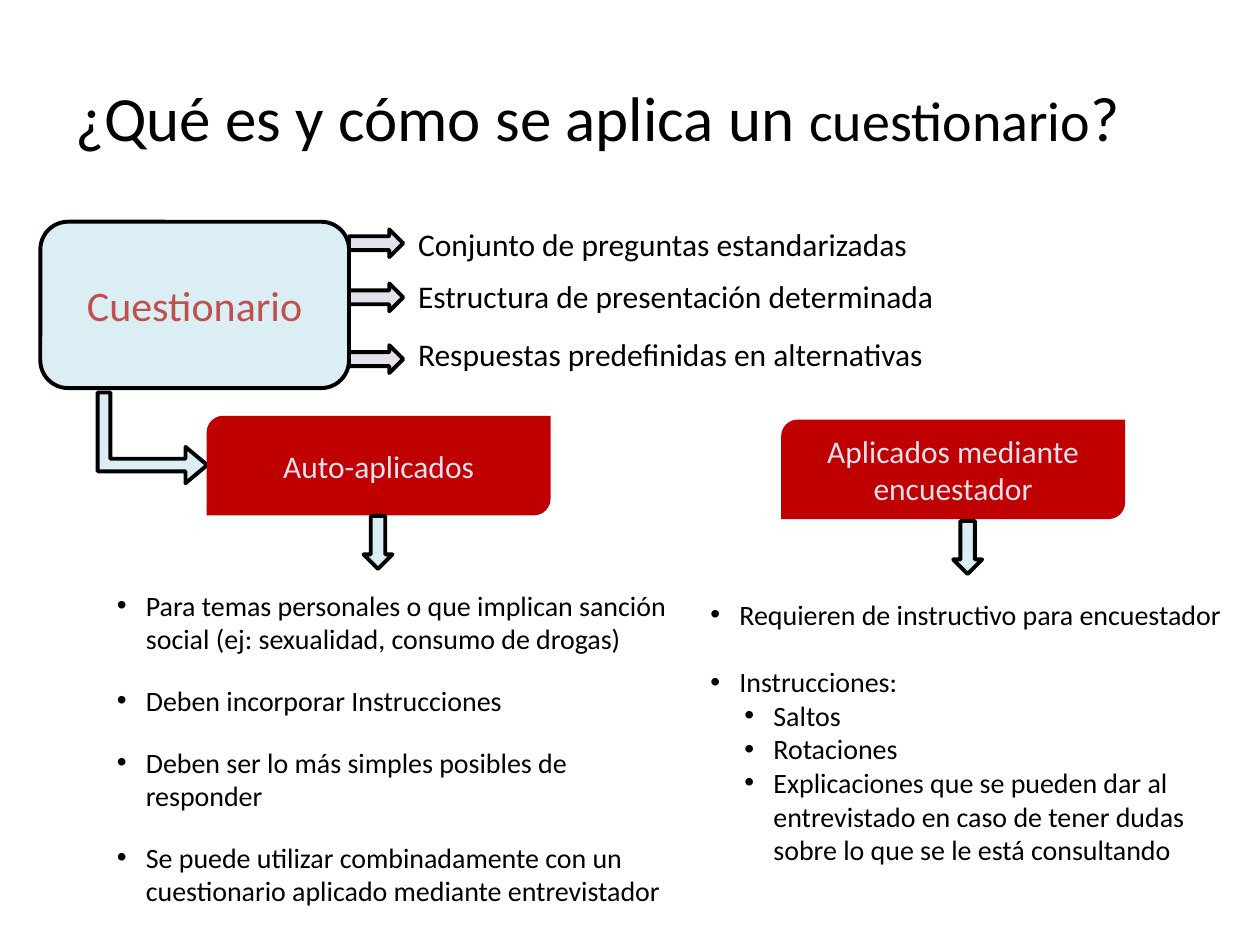
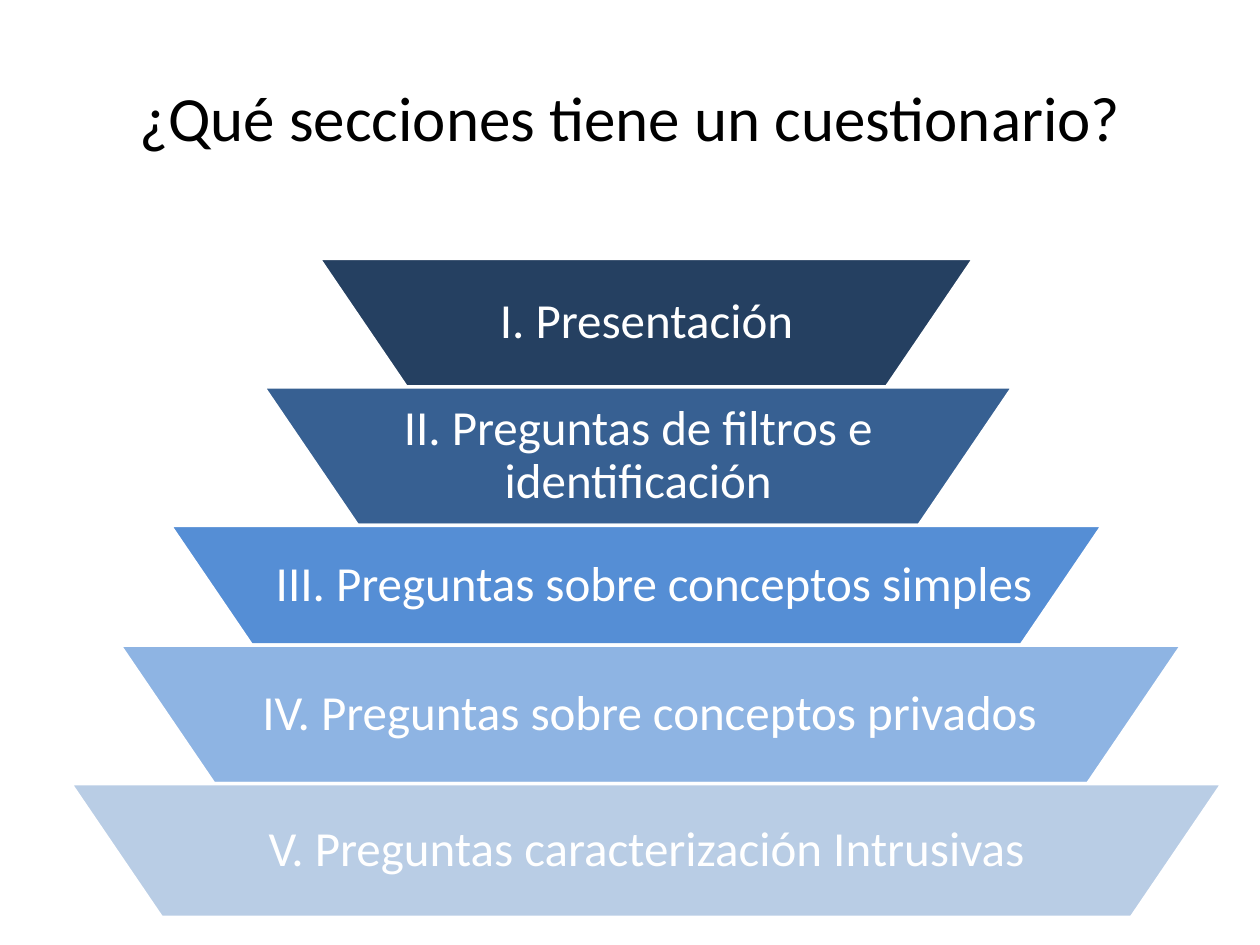
from dataclasses import dataclass

from lxml import etree
from pptx import Presentation
from pptx.dml.color import RGBColor
from pptx.enum.shapes import MSO_SHAPE
from pptx.enum.text import MSO_ANCHOR, PP_ALIGN
from pptx.oxml.ns import qn
from pptx.util import Inches, Pt

ROUNDED = MSO_SHAPE.ROUNDED_RECTANGLE
DIAGONAL = MSO_SHAPE.ROUND_2_DIAG_RECTANGLE
ARROW = MSO_SHAPE.RIGHT_ARROW
BENT_ARROW = MSO_SHAPE.BENT_UP_ARROW
TRAPEZOID = MSO_SHAPE.TRAPEZOID
TOP, MIDDLE = MSO_ANCHOR.TOP, MSO_ANCHOR.MIDDLE
LEFT, CENTER = PP_ALIGN.LEFT, PP_ALIGN.CENTER

# The slide is a grid of 100 columns by 75 square rows
COLUMNS, ROWS = 100, 75
CELL = Inches(0.1)


@dataclass(frozen=True)
class Theme:
    font: str = "Calibri"
    ink: str = "000000"
    white: str = "FFFFFF"
    ice: str = "DBEEF4"
    lilac: str = "E6E0EC"
    coral: str = "C0504D"
    red: str = "C00000"
    funnel: tuple = ("254061", "376092", "558ED5", "8EB4E3", "B9CDE5")
    title: int = 36
    title_small: int = 32
    section: int = 28
    heading: int = 24
    body: int = 18
    detail: int = 16
    outline: float = 2.25


THEME = Theme()


def cells(*lengths):
    return [round(length * CELL) for length in lengths]


def apply(target, values):
    for name, value in values.items():
        setattr(target, name, value)


class Deck:
    """Holds the theme, the presentation and the slide being filled."""

    def __init__(self, theme):
        self.theme = theme
        self.prs = Presentation()
        self.prs.slide_width, self.prs.slide_height = cells(COLUMNS, ROWS)
        self.slide = None

    def new_slide(self, title, align=LEFT):
        self.slide = self.prs.slides.add_slide(self.prs.slide_layouts[6])
        self.text((5, 3, 90, 12.5), title, self.theme.title, align=align, anchor=MIDDLE)

    def add_runs(self, paragraph, parts, size, color):
        """Parts is a string, or a list of (string, size) runs."""
        runs = [(parts, size)] if isinstance(parts, str) else parts
        for words, run_size in runs:
            run = paragraph.add_run()
            run.text = words
            apply(run.font, {"name": self.theme.font, "size": Pt(run_size)})
            run.font.color.rgb = RGBColor.from_string(color)

    def frame(self, shape, anchor, inset=None):
        frame = shape.text_frame
        apply(frame, {"word_wrap": True, "vertical_anchor": anchor})
        if inset is not None:
            sides = ("left", "top", "right", "bottom")
            apply(frame, {f"margin_{side}": Inches(inset) for side in sides})
        return frame

    def text(self, area, parts, size, color=None, align=LEFT, anchor=TOP,
             inset=None, spacing=1.0):
        box = self.slide.shapes.add_textbox(*cells(*area))
        paragraph = self.frame(box, anchor, inset).paragraphs[0]
        apply(paragraph, {"alignment": align, "line_spacing": spacing})
        self.add_runs(paragraph, parts, size, color or self.theme.ink)

    def shape(self, kind, area, fill, line=None, width=None, turn=0, adjust=()):
        shape = self.slide.shapes.add_shape(kind, *cells(*area))
        shape.shadow.inherit = False
        shape.rotation = turn
        for index, value in enumerate(adjust):
            shape.adjustments[index] = value
        shape.fill.solid()
        shape.fill.fore_color.rgb = RGBColor.from_string(fill)
        if line:
            shape.line.color.rgb = RGBColor.from_string(line)
            shape.line.width = Pt(width or self.theme.outline)
        else:
            shape.line.fill.background()
        return shape

    def label(self, shape, words, size, color):
        paragraph = self.frame(shape, MIDDLE).paragraphs[0]
        paragraph.alignment = CENTER
        self.add_runs(paragraph, words, size, color)

    def bullets(self, area, items):
        """Items are (level, space before in points, words)."""
        box = self.slide.shapes.add_textbox(*cells(*area))
        frame = self.frame(box, TOP)
        for index, (level, gap, words) in enumerate(items):
            paragraph = frame.add_paragraph() if index else frame.paragraphs[0]
            apply(paragraph, {"level": level, "space_before": Pt(gap)})
            properties = paragraph._p.get_or_add_pPr()
            properties.set("marL", str(Inches((0.23, 0.5)[level])))
            properties.set("indent", str(-Inches(0.23)))
            font = etree.SubElement(properties, qn("a:buFont"))
            font.set("typeface", "Arial")
            etree.SubElement(properties, qn("a:buChar")).set("char", "•")
            self.add_runs(paragraph, words, self.theme.detail, self.theme.ink)


def build_definition(deck):
    theme = deck.theme
    deck.new_slide([("¿Qué es y cómo se aplica un ", theme.title),
                    ("cuestionario", theme.title_small), ("?", theme.title)])

    # Concept and its three features
    concept = deck.shape(ROUNDED, (3.2, 17.6, 24.5, 13.2), theme.ice, theme.ink)
    deck.label(concept, "Cuestionario", theme.heading, theme.coral)
    features = [
        (18.2, 17.4, "Conjunto de preguntas estandarizadas"),
        (22.5, 21.5, "Estructura de presentación determinada"),
        (27.4, 26.1, "Respuestas predefinidas en alternativas"),
    ]
    for arrow_top, text_top, feature in features:
        deck.shape(ARROW, (27.7, arrow_top, 4.3, 2.2), theme.lilac, theme.ink)
        deck.text((32.2, text_top, 65.6, 4), feature, theme.body)

    # Two ways of applying it
    deck.shape(BENT_ARROW, (8.5, 30.4, 7.2, 8.7), theme.ice, theme.ink,
               turn=90, adjust=(0.14, 0.2, 0.24))
    modes = [
        (16.4, 33, 27.9, 41.9, "Auto-aplicados"),
        (62, 33.3, 74.7, 42.3, "Aplicados mediante encuestador"),
    ]
    for left, top, arrow_left, arrow_top, mode in modes:
        banner = deck.shape(DIAGONAL, (left, top, 27.3, 7.9), theme.red)
        deck.label(banner, mode, theme.body, theme.lilac)
        deck.shape(ARROW, (arrow_left, arrow_top, 4.2, 2.3), theme.ice, theme.ink,
                   turn=90)

    # Notes under each way
    self_applied = [
        "Para temas personales o que implican sanción social "
        "(ej: sexualidad, consumo de drogas)",
        "Deben incorporar Instrucciones",
        "Deben ser lo más simples posibles de responder",
        "Se puede utilizar combinadamente con un cuestionario "
        "aplicado mediante entrevistador",
    ]
    deck.bullets((8.3, 46.2, 45.7, 27.9),
                 [(0, 16 if i else 0, words) for i, words in enumerate(self_applied)])
    deck.bullets((55.4, 46.9, 43.1, 22.6), [
        (0, 0, "Requieren de instructivo para encuestador"),
        (0, 19.5, "Instrucciones:"),
        (1, 0, "Saltos"),
        (1, 0, "Rotaciones"),
        (1, 0, "Explicaciones que se pueden dar al entrevistado en caso de "
               "tener dudas sobre lo que se le está consultando"),
    ])


def build_sections(deck):
    theme = deck.theme
    deck.new_slide("¿Qué secciones tiene un cuestionario?", CENTER)

    # Stacked tiers: left, width, height, text left, text width, words
    tiers = [
        (25.3, 52, 10.2, 34.4, 33.8, "I. Presentación"),
        (20.9, 59.5, 11, 31.3, 38.7, "II. Preguntas de filtros e identificación"),
        (13.5, 74, 9.5, 20.9, 62, "III. Preguntas sobre conceptos simples"),
        (9.5, 84.3, 11, 17.8, 67.5, "IV. Preguntas sobre conceptos privados"),
        (5.6, 91.4, 10.6, 5.6, 91.4, "V. Preguntas caracterización Intrusivas"),
    ]
    top = 20.5
    for fill, tier in zip(theme.funnel, tiers):
        left, width, height, text_left, text_width, section = tier
        deck.shape(TRAPEZOID, (left, top, width, height), fill, theme.white, 2,
                   turn=180, adjust=(0.68,))
        deck.text((text_left, top, text_width, height), section, theme.section,
                  theme.white, CENTER, MIDDLE, inset=0.03, spacing=0.9)
        top += height


def main():
    deck = Deck(THEME)
    build_definition(deck)
    build_sections(deck)
    deck.prs.save("out.pptx")


if __name__ == "__main__":
    main()
